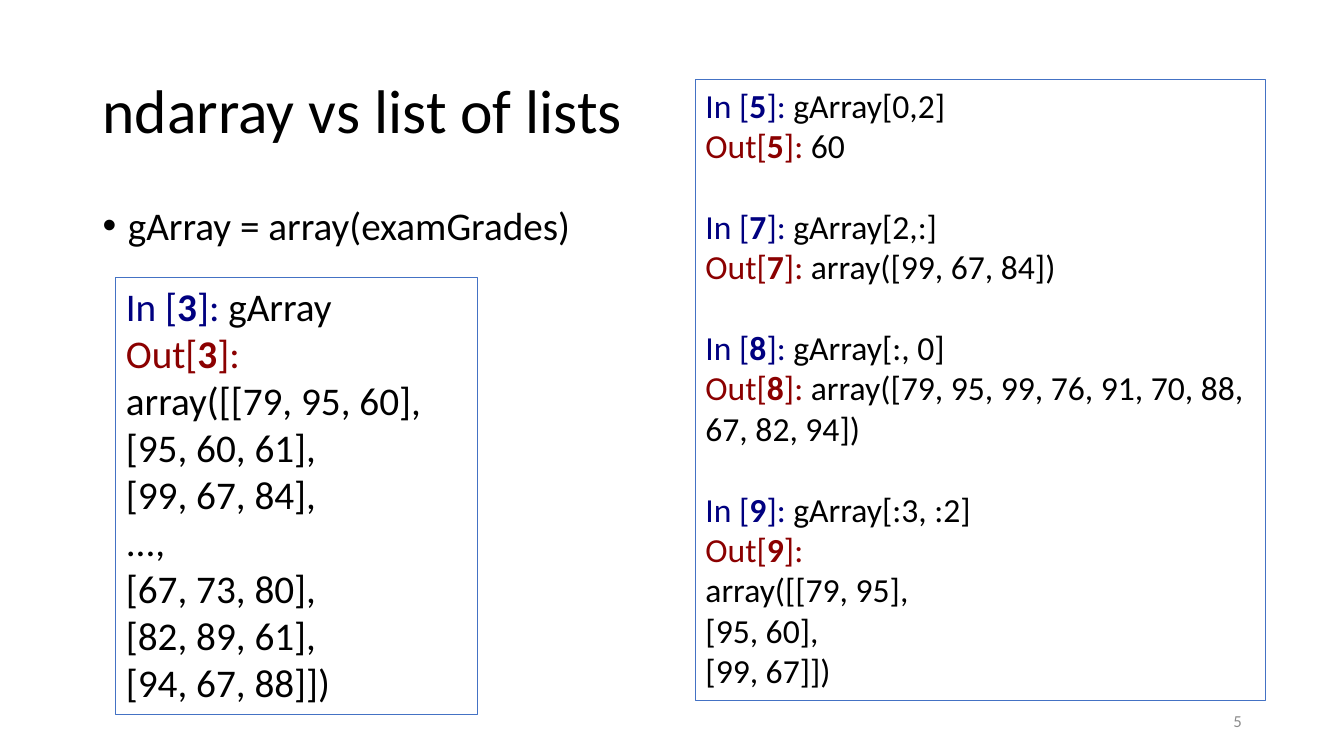
from dataclasses import dataclass
from typing import NamedTuple

from lxml.etree import SubElement as Sub
from pptx import Presentation
from pptx.dml.color import RGBColor as Rgb
from pptx.enum.shapes import MSO_SHAPE as Kind
from pptx.enum.text import MSO_ANCHOR as Anchor, PP_ALIGN as Align
from pptx.oxml.ns import qn
from pptx.util import Inches, Pt

HUES = {"text": "000000", "in": "000080", "out": "8B0000",
        "edge": "4472C4", "page": "8C8C8C"}
FONT = "Calibri"

# The slide is a grid of 100 columns by 100 rows
WIDE, HIGH = Inches(13.33), Inches(7.5)
COL, ROW = WIDE / 100, HIGH / 100


class Area(NamedTuple):
    x: float
    y: float
    w: float
    h: float

    def place(self) -> tuple[int, int, int, int]:
        return (round(self.x * COL), round(self.y * ROW),
                round(self.w * COL), round(self.h * ROW))


@dataclass
class Label:
    area: Area
    text: str
    size: int
    frame: dict
    para: dict
    hue: str = "text"
    dot: bool = False


class Cell(NamedTuple):
    num: int
    code: str
    value: str = ""
    rows: tuple[str, ...] = ()


@dataclass
class Panel:
    area: Area
    size: int
    gap: int
    cells: list[Cell]


LABELS = [
    Label(Area(6.9, 5.33, 86.25, 19.33), "ndarray vs list of lists", 44,
          {"vertical_anchor": Anchor.MIDDLE}, {"line_spacing": 0.9}),
    Label(Area(6.9, 26.67, 86.25, 9.33), "gArray = array(examGrades)", 28,
          {}, {"line_spacing": 0.9, "space_before": Pt(10)}, dot=True),
    Label(Area(70.65, 92.67, 22.5, 5.33), "5", 12,
          {"vertical_anchor": Anchor.MIDDLE}, {"alignment": Align.RIGHT},
          hue="page"),
]

PANELS = [
    Panel(Area(8.63, 36.67, 26.93, 57.87), 28, 0, [
        Cell(3, "gArray", rows=(
            "array([[79, 95, 60],", "[95, 60, 61],", "[99, 67, 84],", "...,",
            "[67, 73, 80],", "[82, 89, 61],", "[94, 67, 88]])")),
    ]),
    Panel(Area(51.75, 10.53, 42.38, 82.13), 24, 29, [
        Cell(5, "gArray[0,2]", "60"),
        Cell(7, "gArray[2,:]", "array([99, 67, 84])"),
        Cell(8, "gArray[:, 0]",
             "array([79, 95, 99, 76, 91, 70, 88, 67, 82, 94])"),
        Cell(9, "gArray[:3, :2]", rows=(
            "array([[79, 95],", "[95, 60],", "[99, 67]])")),
    ]),
]


def assign(item, values: dict) -> None:
    for name, value in values.items():
        setattr(item, name, value)


def add_run(para, text: str, size: int, hue: str, bold: bool = False) -> None:
    run = para.add_run()
    run.text = text
    assign(run.font, {"name": FONT, "size": Pt(size), "bold": bold})
    run.font.color.rgb = Rgb.from_string(HUES[hue])


def add_dot(para) -> None:
    props = para._p.get_or_add_pPr()
    props.set("marL", str(Inches(0.25)))
    props.set("indent", str(-Inches(0.25)))
    Sub(props, qn("a:buFont"), typeface="Arial")
    Sub(props, qn("a:buChar"), char="•")


def draw_label(slide, label: Label) -> None:
    frame = slide.shapes.add_textbox(*label.area.place()).text_frame
    assign(frame, {"word_wrap": True, **label.frame})
    para = frame.paragraphs[0]
    assign(para, label.para)
    if label.dot:
        add_dot(para)
    add_run(para, label.text, label.size, label.hue)


def cell_lines(cell: Cell) -> list[list[tuple]]:
    """Give each line of a cell as runs of text, colour and weight."""
    def prompt(word: str, hue: str, text: str) -> list[tuple]:
        runs = [(f"{word}[", hue), (str(cell.num), hue, True), ("]: ", hue)]
        return runs + [(text, "text")] if text else runs

    return [prompt("In ", "in", cell.code), prompt("Out", "out", cell.value),
            *([(row, "text")] for row in cell.rows)]


def draw_panel(slide, panel: Panel) -> None:
    box = slide.shapes.add_shape(Kind.RECTANGLE, *panel.area.place())
    box.shadow.inherit = False
    box.fill.background()
    box.line.color.rgb = Rgb.from_string(HUES["edge"])
    box.line.width = Pt(0.75)
    frame = box.text_frame
    assign(frame, {"word_wrap": True, "vertical_anchor": Anchor.TOP})
    para = frame.paragraphs[0]
    for place, cell in enumerate(panel.cells):
        for line, runs in enumerate(cell_lines(cell)):
            if place or line:
                para = frame.add_paragraph()
            gap = panel.gap if place and not line else 0
            assign(para, {"alignment": Align.LEFT, "space_before": Pt(gap)})
            for text, hue, *bold in runs:
                add_run(para, text, panel.size, hue, bool(bold))


def main() -> None:
    deck = Presentation()
    assign(deck, {"slide_width": WIDE, "slide_height": HIGH})
    slide = deck.slides.add_slide(deck.slide_layouts[6])
    # Title, bullet and page number
    for label in LABELS:
        draw_label(slide, label)
    # Console sessions
    for panel in PANELS:
        draw_panel(slide, panel)
    deck.save("out.pptx")


if __name__ == "__main__":
    main()
